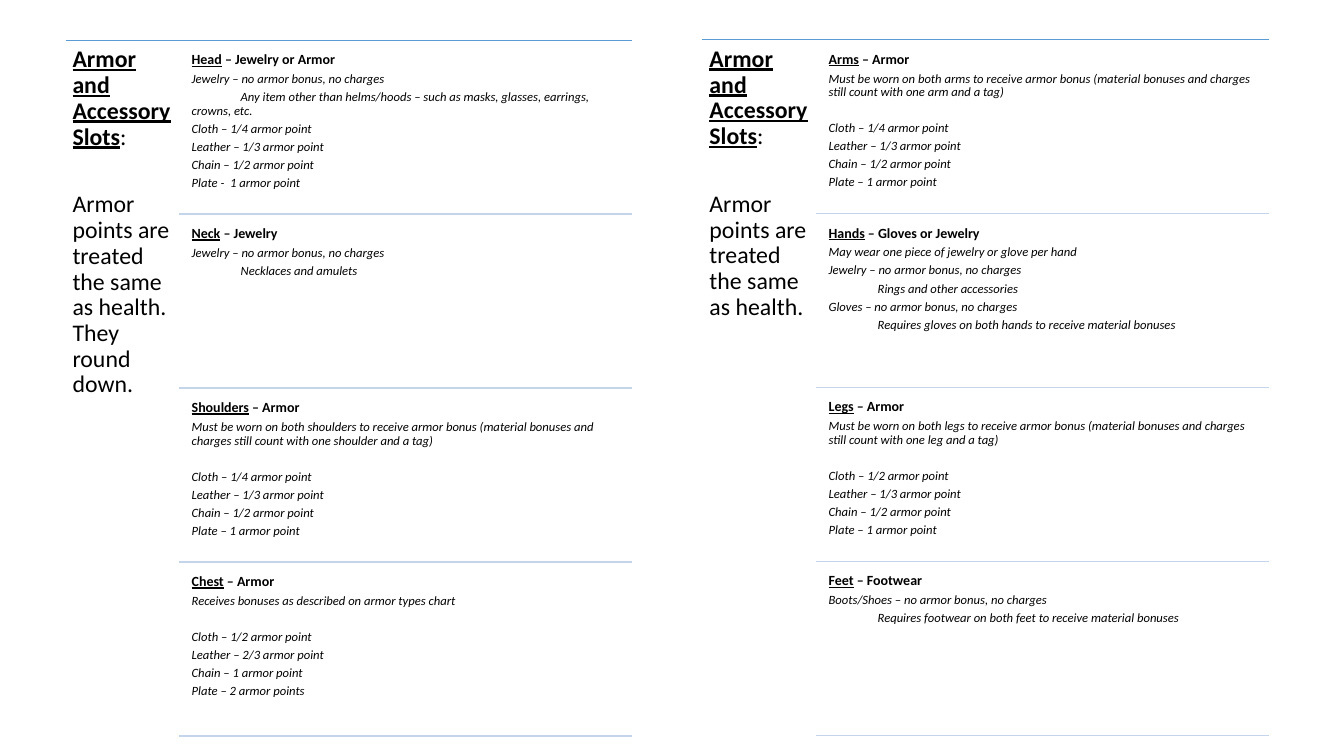
from dataclasses import dataclass
from typing import Any

import pptx
import pptx.dml.color
import pptx.enum.shapes
import pptx.enum.text
import pptx.oxml
import pptx.oxml.ns
import pptx.util

Pt = pptx.util.Pt

FONT = "Calibri"
BLACK, TOP_RULE, SLOT_RULE = "000000", "5B9BD5", "C4D5EB"
HALF_W, RULE_DX, SLOT_DX = 404.6, 81.2, 87.1
ROW_H, SLOT_DY, SLOT_H = 124.2, 5.8, 118
TITLE_H = 503
SPACING = 0.35  # space after a paragraph, as a share of its text size
TITLE = {"size": Pt(17)}
HEADING = {"size": Pt(10), "bold": True}
DETAIL = {"size": Pt(9), "italic": True}


@dataclass
class Line:
    """One detail line of a slot."""
    text: str
    indent: float = 0
    before: float = 0


@dataclass
class Slot:
    """A body slot, what it takes, and its rules."""
    name: str
    takes: str
    lines: list[Line]


@dataclass
class Half:
    """One half of the slide: a title column and four slots."""
    left: float
    top: float
    note: str
    slots: list[Slot]


def tabbed(text: str) -> Line:
    """Return a line whose first row is indented."""
    return Line(text, indent=35)


def materials(cloth: str, leather: str, chain: str, plate: str,
              before: float = 12.9) -> list[Line]:
    """Return the four lines of armor points by material."""
    lines = [Line(f"Cloth – {cloth} armor point", before=before)]
    lines += [Line(f"{name} – {points} armor point")
              for name, points in (("Leather", leather), ("Chain", chain))]
    return lines + [Line(f"Plate {plate}")]


def both(parts: str, part: str, bonuses: str) -> Line:
    """Return the rule for armor that is worn on a pair of limbs."""
    return Line(f"Must be worn on both {parts} to receive armor bonus "
                f"({bonuses} still count with one {part} and a tag)")


def rgb(value: str) -> pptx.dml.color.RGBColor:
    """Turn a hex string into a colour."""
    return pptx.dml.color.RGBColor.from_string(value)


def add_rule(shapes: Any, x1: float, x2: float, y: float, color: str) -> None:
    """Draw a horizontal rule without a shadow."""
    line = shapes.add_connector(pptx.enum.shapes.MSO_CONNECTOR.STRAIGHT,
                                Pt(x1), Pt(y), Pt(x2), Pt(y))
    line.line.width = Pt(1)
    line.line.color.rgb = rgb(color)
    sp_pr = line._element.find(pptx.oxml.ns.qn("p:spPr"))
    sp_pr.append(pptx.oxml.parse_xml(
        f"<a:effectLst {pptx.oxml.ns.nsdecls('a')}/>"))


def add_box(shapes: Any, x: float, y: float, w: float, h: float,
            inset: float, right: float) -> Any:
    """Add a wrapping text box and return its text frame."""
    tf = shapes.add_textbox(Pt(x), Pt(y), Pt(w), Pt(h)).text_frame
    for name, value in {"word_wrap": True,
                        "vertical_anchor": pptx.enum.text.MSO_ANCHOR.TOP,
                        "margin_left": Pt(inset), "margin_top": Pt(inset),
                        "margin_bottom": Pt(inset),
                        "margin_right": Pt(right)}.items():
        setattr(tf, name, value)
    return tf


def add_run(p: Any, text: str, **style: Any) -> None:
    """Add a run with the given font values."""
    r = p.add_run()
    r.text = text
    r.font.color.rgb = rgb(BLACK)
    for name, value in {"name": FONT, **style}.items():
        setattr(r.font, name, value)


def space(p: Any, size: float, before: float = 0, indent: float = 0) -> None:
    """Set line spacing, paragraph gaps and first-row indent."""
    for name, value in {"line_spacing": 0.9, "space_before": Pt(before),
                        "space_after": Pt(SPACING * size)}.items():
        setattr(p, name, value)
    if indent:
        p._p.get_or_add_pPr().set("indent", str(Pt(indent)))


def add_title(shapes: Any, half: Half) -> None:
    """Write the title column of a half."""
    tf = add_box(shapes, half.left, half.top, RULE_DX, TITLE_H, 5, 4)
    p = tf.paragraphs[0]
    space(p, 17)
    add_run(p, "Armor and Accessory Slots", bold=True, underline=True, **TITLE)
    add_run(p, ":", **TITLE)
    p = tf.add_paragraph()
    space(p, 17, before=24.2)
    add_run(p, half.note, **TITLE)


def add_slot(shapes: Any, x: float, y: float, slot: Slot) -> None:
    """Write one slot: its heading and detail lines."""
    tf = add_box(shapes, x, y, HALF_W - SLOT_DX, SLOT_H, 3, 8)
    p = tf.paragraphs[0]
    space(p, 10)
    add_run(p, slot.name, underline=True, **HEADING)
    add_run(p, f" – {slot.takes}", **HEADING)
    for line in slot.lines:
        p = tf.add_paragraph()
        space(p, 9, line.before, line.indent)
        add_run(p, line.text, **DETAIL)


def add_half(s: Any, half: Half) -> None:
    """Draw one half of the slide as a group."""
    shapes = s.shapes.add_group_shape().shapes
    right = half.left + HALF_W
    add_rule(shapes, half.left, right, half.top, TOP_RULE)
    add_title(shapes, half)
    for i, slot in enumerate(half.slots):
        y = half.top + i * ROW_H
        add_slot(shapes, half.left + SLOT_DX, y + SLOT_DY, slot)
        add_rule(shapes, half.left + RULE_DX, right, y + ROW_H, SLOT_RULE)


NOTE = "Armor points are treated the same as health."
JEWELRY = Line("Jewelry – no armor bonus, no charges")
BONUSES = "material bonuses and charges"
HALVES = [
    Half(46.8, 28.8, NOTE + "  They round down.", [
        Slot("Head", "Jewelry or Armor", [
            JEWELRY,
            tabbed("Any item other than helms/hoods – such as masks, "
                   "glasses, earrings, crowns, etc."),
            *materials("1/4", "1/3", "1/2", "-  1 armor point", before=0)]),
        Slot("Neck", "Jewelry", [JEWELRY, tabbed("Necklaces and amulets")]),
        Slot("Shoulders", "Armor", [
            both("shoulders", "shoulder", BONUSES),
            *materials("1/4", "1/3", "1/2", "– 1 armor point")]),
        Slot("Chest", "Armor", [
            Line("Receives bonuses as described on armor types chart"),
            *materials("1/2", "2/3", "1", "– 2 armor points")]),
    ]),
    Half(501.8, 28.4, NOTE, [
        Slot("Arms", "Armor", [
            both("arms", "arm", BONUSES),
            *materials("1/4", "1/3", "1/2", "– 1 armor point")]),
        Slot("Hands", "Gloves or Jewelry", [
            Line("May wear one piece of jewelry or glove per hand"),
            JEWELRY, tabbed("Rings and other accessories"),
            Line("Gloves – no armor bonus, no charges"),
            tabbed("Requires gloves on both hands to receive "
                   "material bonuses")]),
        Slot("Legs", "Armor", [
            both("legs", "leg", BONUSES),
            *materials("1/2", "1/3", "1/2", "– 1 armor point")]),
        Slot("Feet", "Footwear", [
            Line("Boots/Shoes – no armor bonus, no charges"),
            tabbed("Requires footwear on both feet to receive "
                   "material bonuses")]),
    ]),
]

prs = pptx.Presentation()
prs.slide_width, prs.slide_height = Pt(960), Pt(540)
s = prs.slides.add_slide(prs.slide_layouts[6])
for half in HALVES:
    add_half(s, half)
prs.save("out.pptx")
